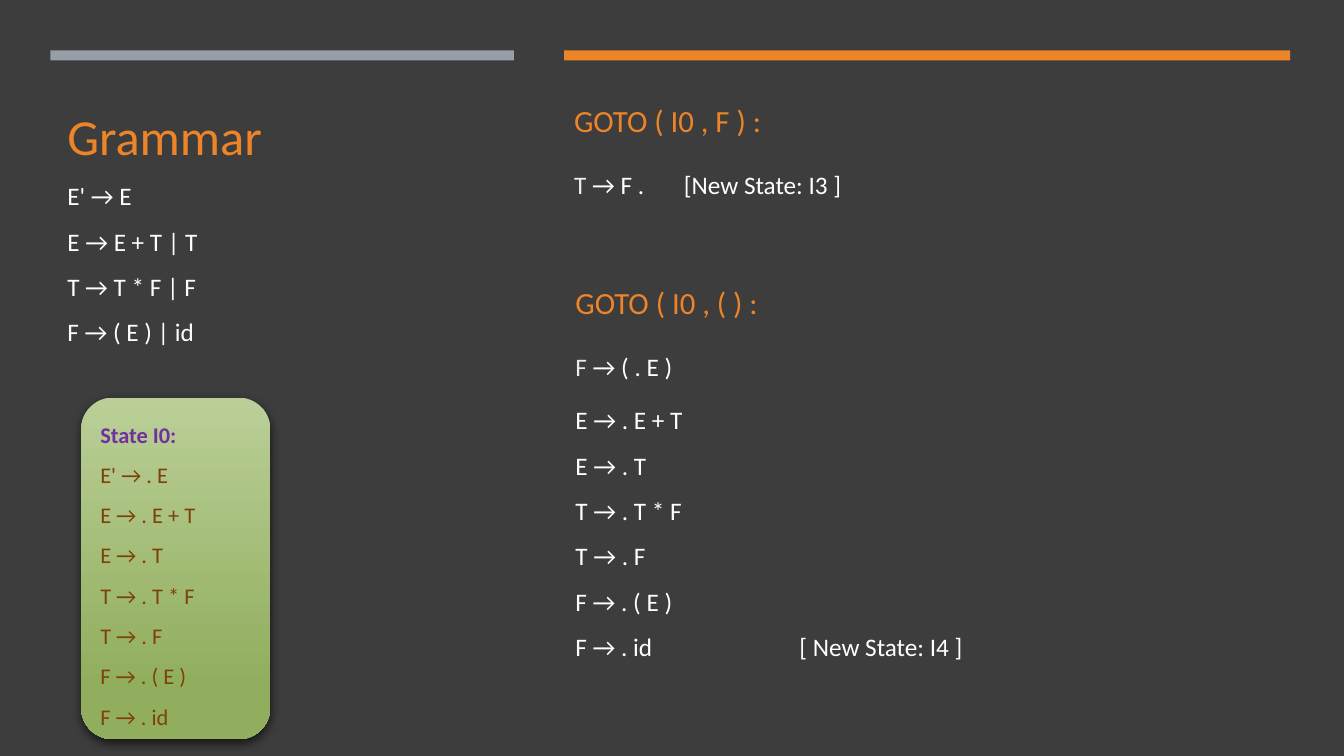
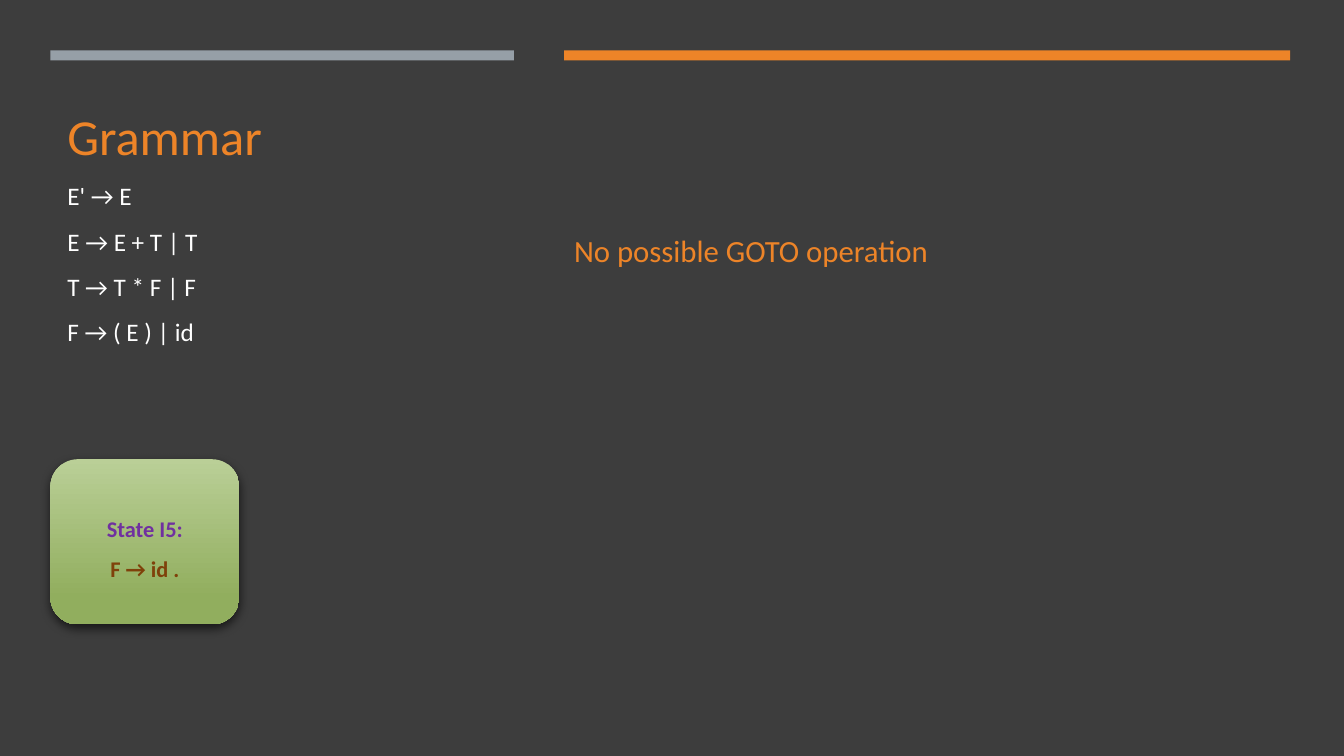
import pptx
import pptx.dml.color
import pptx.enum.shapes
import pptx.enum.text
import pptx.oxml
import pptx.oxml.ns
import pptx.util
from lxml import etree

Pt = pptx.util.Pt
ALIGN = pptx.enum.text.PP_ALIGN
SHAPE = pptx.enum.shapes.MSO_SHAPE

FONT = "Calibri"
COLORS = {
    "background": "3D3D3D",
    "accent": "ED8428",
    "band": "969FA7",
    "text": "FFFFFF",
    "soft": "EBEBEB",
    "panel_top": "BACF97",
    "panel_bottom": "91AE5E",
    "state": "7030A0",
    "item": "7F410A",
}
GRAMMAR = ["E' → E", "E → E + T | T", "T → T * F | F", "F → ( E ) | id"]
EXPRESSION_ITEMS = ["E → . E + T", "E → . T", "T → . T * F", "T → . F", "F → . ( E )"]


def color(name):
    return pptx.dml.color.RGBColor.from_string(COLORS[name])


def qualified(tag):
    return pptx.oxml.ns.qn(tag)


class Slides:
    """Holds the deck, its style and the current slide."""

    def __init__(self):
        self.deck = pptx.Presentation()
        self.deck.slide_width = Pt(960)
        self.deck.slide_height = Pt(540)
        self.page = None

    def new_page(self):
        """Start a slide with the shared background, bands and grammar."""
        self.page = self.deck.slides.add_slide(self.deck.slide_layouts[6])
        fill = self.page.background.fill
        fill.solid()
        fill.fore_color.rgb = color("background")
        self.band(36, 331, "band")
        self.band(403, 518.5, "accent")
        box = self.text_box(41, 43, 320, 215)
        self.para(box, [("Grammar", "accent")], size=36)
        for rule in GRAMMAR:
            self.para(box, [(rule, "text")])

    def shape(self, kind, left, top, width, height):
        shape = self.page.shapes.add_shape(kind, Pt(left), Pt(top), Pt(width), Pt(height))
        shape.shadow.inherit = False
        shape.line.fill.background()
        return shape

    def band(self, left, width, fill_name):
        band = self.shape(SHAPE.RECTANGLE, left, 36, width, 7.2)
        band.fill.solid()
        band.fill.fore_color.rgb = color(fill_name)

    def text_box(self, left, top, width, height):
        box = self.page.shapes.add_textbox(Pt(left), Pt(top), Pt(width), Pt(height))
        return self.text_frame(box)

    def text_frame(self, shape):
        frame = shape.text_frame
        frame.word_wrap = True
        frame.vertical_anchor = pptx.enum.text.MSO_ANCHOR.MIDDLE
        return frame

    def para(self, frame, spans, size=18, before=0, after=0, bold=False,
             align=ALIGN.LEFT, tab=None):
        """Add a paragraph of (text, colour name) spans."""
        para = frame.paragraphs[0]
        if para.runs:
            para = frame.add_paragraph()
        para.alignment = align
        para.line_spacing = 1.5
        para.space_before = Pt(before)
        para.space_after = Pt(after)
        if tab:
            stops = etree.SubElement(para._p.get_or_add_pPr(), qualified("a:tabLst"))
            etree.SubElement(stops, qualified("a:tab"), pos=str(Pt(tab)), algn="l")
        for text, color_name in spans:
            span = para.add_run()
            span.text = text
            span.font.name = FONT
            span.font.size = Pt(size)
            span.font.bold = bold
            span.font.color.rgb = color(color_name)

    def goto_heading(self, frame, text):
        self.para(frame, [(text, "accent")], size=22, after=6)

    def goto_kernel(self, frame, symbol, rest, tab=None):
        """Add the first item of a state, its left symbol slightly dimmed."""
        spans = [(symbol + " ", "soft"), (rest, "text")]
        self.para(frame, spans, before=5, after=6, tab=tab)

    def state_panel(self, left, top, height, state, items, align=ALIGN.LEFT, bold_items=False):
        panel = self.shape(SHAPE.ROUNDED_RECTANGLE, left, top, 135, height)
        panel.fill.gradient()
        panel.fill.gradient_angle = 270
        first, last = panel.fill.gradient_stops
        first.position, last.position = 0, 0.84
        first.color.rgb = color("panel_top")
        last.color.rgb = color("panel_bottom")
        self.drop_shadow(panel)
        frame = self.text_frame(panel)
        self.para(frame, [(state, "state")], size=16, bold=True, align=align)
        for item in items:
            self.para(frame, [(item, "item")], size=16, bold=bold_items, align=align)

    def drop_shadow(self, shape):
        effects = shape._element.spPr.find(qualified("a:effectLst"))
        shadow = etree.SubElement(
            effects, qualified("a:outerShdw"), blurRad=str(Pt(7)), dist=str(Pt(3)),
            dir=str(84 * 60000), algn="ctr", rotWithShape="0")
        tone = etree.SubElement(shadow, qualified("a:srgbClr"), val="000000")
        etree.SubElement(tone, qualified("a:alpha"), val="60000")


def build_goto_page(slides):
    slides.new_page()
    box = slides.text_box(403, 54, 549, 94)
    slides.goto_heading(box, "GOTO ( I0 , F ) :")
    slides.goto_kernel(box, "T", "→ F .\t[New State: I3 ]", tab=78.5)

    box = slides.text_box(404, 187, 549, 288)
    slides.goto_heading(box, "GOTO ( I0 , ( ) :")
    slides.goto_kernel(box, "F", "→ ( . E )")
    for item in EXPRESSION_ITEMS:
        slides.para(box, [(item, "text")])
    slides.para(box, [("F → . id\t[ New State: I4 ]", "text")], tab=160)

    items = ["E' → . E"] + EXPRESSION_ITEMS + ["F → . id"]
    slides.state_panel(58, 284, 244, "State I0:", items)


def build_final_page(slides):
    slides.new_page()
    box = slides.text_box(403, 53, 549, 238)
    slides.goto_heading(box, "No possible GOTO operation")
    slides.state_panel(36, 328, 118, "State I5:", ["F → id ."],
                       align=ALIGN.CENTER, bold_items=True)


def main():
    slides = Slides()
    build_goto_page(slides)
    build_final_page(slides)
    slides.deck.save("out.pptx")


if __name__ == "__main__":
    main()
